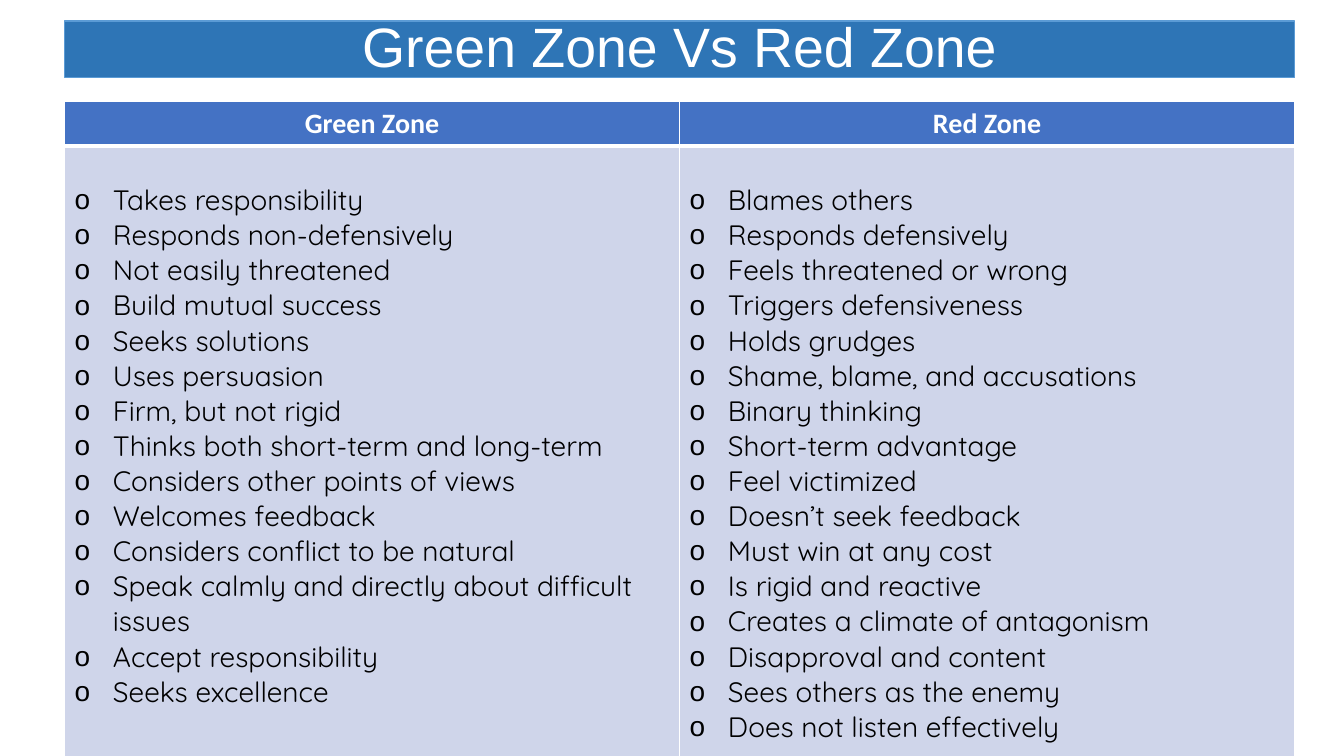
from dataclasses import dataclass

from lxml import etree
from pptx import Presentation
from pptx.dml.color import RGBColor
from pptx.enum.text import MSO_ANCHOR, PP_ALIGN
from pptx.oxml.ns import qn
from pptx.util import Inches, Pt

CENTER = PP_ALIGN.CENTER
LEFT = PP_ALIGN.LEFT
MIDDLE = MSO_ANCHOR.MIDDLE
TITLE_ONLY = 5


@dataclass(frozen=True)
class Theme:
    banner: RGBColor = RGBColor(0x2E, 0x75, 0xB6)
    banner_line: RGBColor = RGBColor(0x5B, 0x9B, 0xD5)
    header: RGBColor = RGBColor(0x44, 0x72, 0xC4)
    body: RGBColor = RGBColor(0xCF, 0xD5, 0xEA)
    white: RGBColor = RGBColor(0xFF, 0xFF, 0xFF)
    black: RGBColor = RGBColor(0, 0, 0)
    title_size: float = 39.6
    text_size: float = 20
    title_font: str = "Arial"
    header_font: str = "Calibri"
    body_font: str = "Quicksand"


THEME = Theme()

ZONES = {
    "Green Zone": [
        "Takes responsibility",
        "Responds non-defensively",
        "Not easily threatened",
        "Build mutual success",
        "Seeks solutions",
        "Uses persuasion",
        "Firm, but not rigid",
        "Thinks both short-term and long-term",
        "Considers other points of views",
        "Welcomes feedback",
        "Considers conflict to be natural",
        "Speak calmly and directly about difficult issues",
        "Accept responsibility",
        "Seeks excellence",
    ],
    "Red Zone": [
        "Blames others",
        "Responds defensively",
        "Feels threatened or wrong",
        "Triggers defensiveness",
        "Holds grudges",
        "Shame, blame, and accusations",
        "Binary thinking",
        "Short-term advantage",
        "Feel victimized",
        "Doesn’t seek feedback",
        "Must win at any cost",
        "Is rigid and reactive",
        "Creates a climate of antagonism",
        "Disapproval and content",
        "Sees others as the enemy",
        "Does not listen effectively",
    ],
}


def format_para(para, font, size, color, align, bold=False):
    para.alignment = align
    para.font.name = font
    para.font.size = Pt(size)
    para.font.color.rgb = color
    para.font.bold = bold


def add_bullet(para):
    properties = para._p.get_or_add_pPr()
    properties.set("marL", str(Inches(0.38)))
    properties.set("indent", str(Inches(-0.38)))
    etree.SubElement(properties, qn("a:buFont"), typeface=THEME.title_font)
    etree.SubElement(properties, qn("a:buChar"), char="o")


def style_cell(cell, fill, top, bottom):
    properties = cell._tc.get_or_add_tcPr()
    for side, width in (("L", 1), ("R", 1), ("T", top), ("B", bottom)):
        line = etree.SubElement(properties, qn(f"a:ln{side}"), w=str(Pt(width)))
        solid = etree.SubElement(line, qn("a:solidFill"))
        etree.SubElement(solid, qn("a:srgbClr"), val=str(THEME.white))
    cell.fill.solid()
    cell.fill.fore_color.rgb = fill


def set_title(page, text):
    title = page.shapes.title
    title.left, title.top = Inches(0.64), Inches(0.21)
    title.width, title.height = Inches(12.2), Inches(0.56)
    title.fill.solid()
    title.fill.fore_color.rgb = THEME.banner
    title.line.color.rgb = THEME.banner_line
    title.line.width = Pt(1)
    title.text_frame.text = text
    title.text_frame.vertical_anchor = MIDDLE
    para = title.text_frame.paragraphs[0]
    para.line_spacing = 0.9
    format_para(para, THEME.title_font, THEME.title_size, THEME.white, CENTER)


def fill_header(cell, text):
    style_cell(cell, THEME.header, 1, 3)
    cell.text = text
    format_para(cell.text_frame.paragraphs[0], THEME.header_font,
                THEME.text_size, THEME.white, CENTER, True)


def fill_list(cell, items):
    style_cell(cell, THEME.body, 3, 1)
    cell.margin_top = Inches(0.36)
    cell.text = "\n".join(items)
    for para in cell.text_frame.paragraphs:
        add_bullet(para)
        format_para(para, THEME.body_font, THEME.text_size, THEME.black, LEFT)


def add_zone_table(page, zones):
    table = page.shapes.add_table(
        2, len(zones), Inches(0.64), Inches(1.01), Inches(12.2), Inches(6.77)).table
    table.rows[0].height = Inches(0.44)
    table.rows[1].height = Inches(6.33)
    for column, (name, items) in enumerate(zones.items()):
        fill_header(table.cell(0, column), name)
        fill_list(table.cell(1, column), items)


def main():
    deck = Presentation()
    deck.slide_width, deck.slide_height = Inches(13.33), Inches(7.5)
    page = deck.slides.add_slide(deck.slide_layouts[TITLE_ONLY])
    set_title(page, "Green Zone Vs Red Zone")
    add_zone_table(page, ZONES)
    deck.save("out.pptx")


if __name__ == "__main__":
    main()
